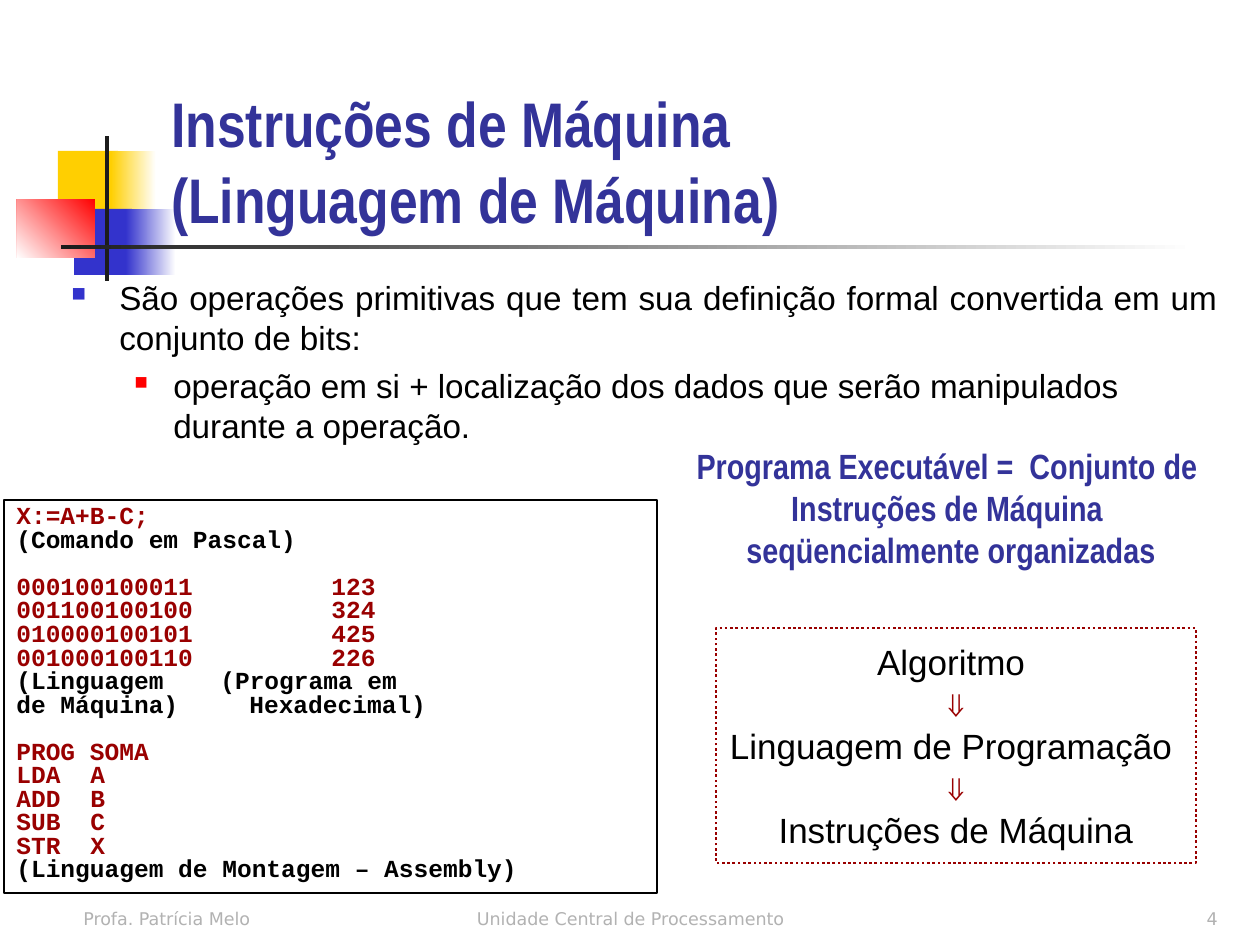
from lxml.etree import SubElement
from pptx import Presentation
from pptx.dml.color import RGBColor
from pptx.enum.dml import MSO_LINE
from pptx.enum.shapes import MSO_SHAPE
from pptx.enum.text import MSO_ANCHOR, PP_ALIGN
from pptx.oxml.ns import qn
from pptx.util import Emu, Pt

PX = 914400 / 126

WHITE = RGBColor(0xFF, 0xFF, 0xFF)
BLACK = RGBColor(0x00, 0x00, 0x00)
CHARCOAL = RGBColor(0x1C, 0x1C, 0x1C)
GREY = RGBColor(0xB2, 0xB2, 0xB2)
YELLOW = RGBColor(0xFF, 0xCF, 0x01)
BLUE = RGBColor(0x33, 0x33, 0xCC)
INDIGO = RGBColor(0x33, 0x33, 0x99)
RED = RGBColor(0xFF, 0x00, 0x00)
DARK_RED = RGBColor(0x99, 0x00, 0x00)

# Text, colour, tab stops in px, space before in points
CODE_LINES = [
    ("X:=A+B-C;", DARK_RED, [], 0),
    ("(Comando em Pascal)", BLACK, [], 0),
    ("000100100011\t123", DARK_RED, [315], 13.4),
    ("001100100100\t324", DARK_RED, [315], 0),
    ("010000100101\t425", DARK_RED, [315], 0),
    ("001000100110\t226", DARK_RED, [315], 0),
    ("(Linguagem\t(Programa em", BLACK, [204], 0),
    ("de Máquina)\tHexadecimal)", BLACK, [233], 0),
    ("PROG SOMA", DARK_RED, [], 13.4),
    ("LDA\tA", DARK_RED, [74], 0),
    ("ADD\tB", DARK_RED, [74], 0),
    ("SUB\tC", DARK_RED, [74], 0),
    ("STR\tX", DARK_RED, [74], 0),
    ("(Linguagem de Montagem – Assembly)", BLACK, [], 0),
]


def px(value):
    return Emu(round(value * PX))


def add_box(slide, left, top, width, height, fill=None, line=None, line_width=0.75):
    shape = slide.shapes.add_shape(
        MSO_SHAPE.RECTANGLE, px(left), px(top), px(width), px(height))
    shape.shadow.inherit = False
    if fill is None:
        shape.fill.background()
    else:
        shape.fill.solid()
        shape.fill.fore_color.rgb = fill
    if line is None:
        shape.line.fill.background()
    else:
        shape.line.color.rgb = line
        shape.line.width = Pt(line_width)
    return shape


def add_fade(slide, left, top, width, height, color, angle=0):
    """A rectangle that fades from the colour to white."""
    fill = add_box(slide, left, top, width, height).fill
    fill.gradient()
    fill.gradient_angle = angle
    for stop, position, stop_color in zip(fill.gradient_stops, (0, 1), (color, WHITE)):
        stop.position = position
        stop.color.rgb = stop_color


def add_text(slide, left, top, width, height, anchor):
    shape = slide.shapes.add_textbox(px(left), px(top), px(width), px(height))
    shape.text_frame.word_wrap = True
    shape.text_frame.vertical_anchor = anchor
    return shape.text_frame


def write_lines(text_frame, lines, font_name, size, color, align=PP_ALIGN.LEFT, bold=False):
    text_frame.text = "\n".join(lines)
    for paragraph in text_frame.paragraphs:
        paragraph.alignment = align
        for run in paragraph.runs:
            run.font.name = font_name
            run.font.size = Pt(size)
            run.font.bold = bold
            run.font.color.rgb = color


def set_bullet(paragraph, indent, hanging, color, percent):
    properties = paragraph._p.get_or_add_pPr()
    properties.set("marL", str(px(indent)))
    properties.set("indent", str(-px(hanging)))
    bullet_color = SubElement(properties, qn("a:buClr"))
    SubElement(bullet_color, qn("a:srgbClr"), val=str(color))
    SubElement(properties, qn("a:buSzPct"), val=str(percent * 1000))
    SubElement(properties, qn("a:buChar"), char="■")


def set_tabs(paragraph, positions):
    tab_list = SubElement(paragraph._p.get_or_add_pPr(), qn("a:tabLst"))
    for position in positions:
        SubElement(tab_list, qn("a:tab"), pos=str(px(position)), algn="l")


def add_decoration(slide):
    add_box(slide, 58, 151, 60, 66, YELLOW)
    add_fade(slide, 111, 151, 45, 66, YELLOW)
    add_box(slide, 74, 209, 58, 66, BLUE)
    add_fade(slide, 126, 209, 50, 66, BLUE)
    add_fade(slide, 17, 199, 78, 59, RED, 225)
    add_box(slide, 105, 136, 4, 145, CHARCOAL)
    add_fade(slide, 61, 245, 1134, 4, CHARCOAL)


def add_footer(slide):
    for left, width, text, align in (
            (71, 262, "Profa. Patrícia Melo", PP_ALIGN.LEFT),
            (431, 399, "Unidade Central de Processamento", PP_ALIGN.CENTER),
            (968, 262, "4", PP_ALIGN.RIGHT)):
        text_frame = add_text(slide, left, 872, width, 63, MSO_ANCHOR.BOTTOM)
        write_lines(text_frame, [text], "DejaVu Sans", 10, GREY, align)


def add_body(slide):
    text_frame = add_text(slide, 59, 271, 1171, 567, MSO_ANCHOR.TOP)
    write_lines(text_frame, [
        "São operações primitivas que tem sua definição formal convertida em um conjunto de bits:",
        "operação em si + localização dos dados que serão manipulados durante a operação.",
    ], "Arial", 19, BLACK)
    definition, detail = text_frame.paragraphs
    definition.alignment = PP_ALIGN.JUSTIFY
    detail.level = 1
    for paragraph in (definition, detail):
        paragraph.space_before = Pt(4.8)
    set_bullet(definition, 48, 48, BLUE, 60)
    set_bullet(detail, 102, 39, RED, 55)


def add_code(slide):
    text_frame = add_box(slide, 4, 500, 653, 393, WHITE, BLACK).text_frame
    text_frame.word_wrap = True
    text_frame.vertical_anchor = MSO_ANCHOR.TOP
    write_lines(text_frame, [line[0] for line in CODE_LINES],
                "Courier New", 14, BLACK, bold=True)
    for paragraph, (_, color, tabs, gap) in zip(text_frame.paragraphs, CODE_LINES):
        paragraph.line_spacing = 0.8
        paragraph.space_before = Pt(gap)
        if tabs:
            set_tabs(paragraph, tabs)
        for run in paragraph.runs:
            run.font.color.rgb = color


def add_flow(slide):
    shape = add_box(slide, 716, 628, 480, 235, line=DARK_RED, line_width=1.5)
    shape.line.dash_style = MSO_LINE.ROUND_DOT
    text_frame = shape.text_frame
    text_frame.word_wrap = True
    text_frame.vertical_anchor = MSO_ANCHOR.MIDDLE
    write_lines(text_frame, ["Algoritmo ", "⇓", "Linguagem de Programação ", "⇓",
                             "Instruções de Máquina"],
                "Arial", 20, BLACK, PP_ALIGN.CENTER)
    for arrow in text_frame.paragraphs[1::2]:
        arrow.runs[0].font.color.rgb = DARK_RED


def main():
    presentation = Presentation()
    presentation.slide_width, presentation.slide_height = px(1260), px(945)
    slide = presentation.slides.add_slide(presentation.slide_layouts[6])

    add_decoration(slide)
    add_footer(slide)

    # Title
    title = add_text(slide, 159, 84, 1073, 158, MSO_ANCHOR.BOTTOM)
    write_lines(title, ["Instruções de Máquina", "(Linguagem de Máquina)"],
                "Arial Narrow", 36, INDIGO, bold=True)

    add_body(slide)
    add_code(slide)
    add_flow(slide)

    # Statement above the flow
    statement = add_text(slide, 671, 426, 560, 163, MSO_ANCHOR.MIDDLE)
    write_lines(statement, ["Programa Executável =  Conjunto de ", "Instruções de Máquina ",
                            "seqüencialmente organizadas"],
                "Arial Narrow", 20, INDIGO, PP_ALIGN.CENTER, True)

    presentation.save("out.pptx")


if __name__ == "__main__":
    main()
